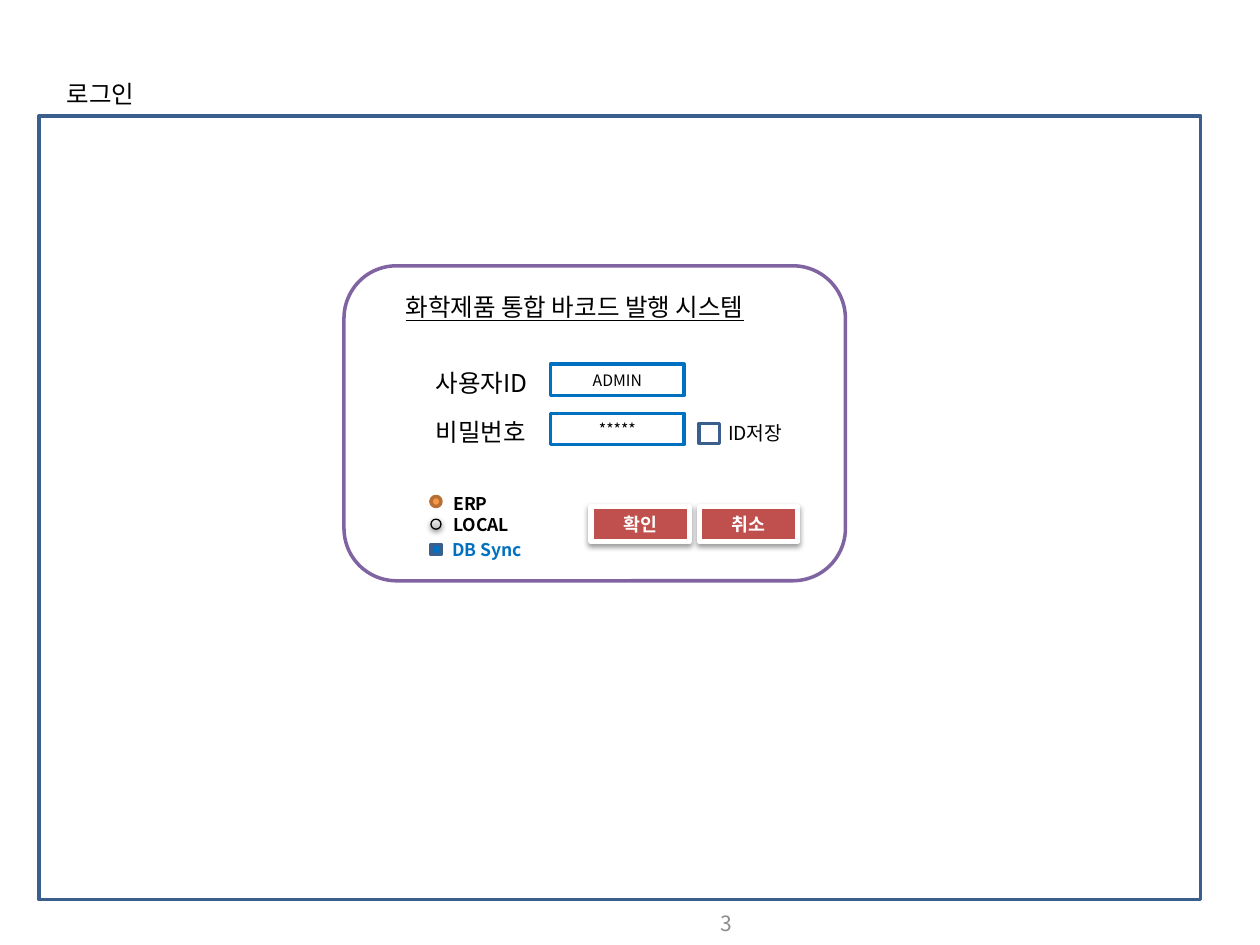
from lxml import etree
from pptx import Presentation
from pptx.dml.color import RGBColor
from pptx.enum.shapes import MSO_SHAPE as Shape
from pptx.enum.text import MSO_ANCHOR as Anchor, PP_ALIGN as Align
from pptx.oxml import parse_xml
from pptx.util import Inches, Pt

FONT = "Noto Sans CJK KR"
NAMESPACE = "http://schemas.openxmlformats.org/drawingml/2006/main"
COLORS = {
    "black": "000000", "white": "FFFFFF", "navy": "3A5F8C", "blue": "0070C0",
    "red": "C0504D", "purple": "8064A2", "orange": "F79646", "brown": "B76F34",
    "gray": "8C8C8C",
}
GRAY_STOPS = [(0, "BDBDBD"), (35, "D1D1D1"), (100, "EEEEEE")]

TITLE = ("로그인", (0.43, 0.58, 0.79, 0.34))
FRAME = (0.31, 0.92, 9.22, 6.22)
DIALOG = (2.73, 2.11, 3.98, 2.5)
FIELDS = [("사용자ID", 0.98, "ADMIN"), ("비밀번호", 0.99, "*****")]
FIELD_TOP, FIELD_STEP = 2.87, 0.39
BUTTONS = ["확인", "취소"]
BUTTON_LEFT, BUTTON_STEP = 4.69, 0.86
LABELS = [
    (["화학제품 통합 바코드 발행 시스템"], (3.12, 2.27, 3.32, 0.34),
     {"size": 14, "underline": True}),
    (["ID저장"], (5.68, 3.29, 0.66, 0.29), {"size": 11, "wrap": True}),
    (["ERP", "LOCAL"], (3.5, 3.86, 0.64, 0.44), {"size": 10, "bold": True}),
    (["DB Sync"], (3.49, 4.23, 0.75, 0.27),
     {"size": 10, "bold": True, "color": "blue"}),
    (["3"], (3.58, 7.13, 2.33, 0.4),
     {"size": 12, "color": "gray", "wrap": True, "align": Align.RIGHT,
      "anchor": Anchor.MIDDLE}),
]
MARKERS = [
    (Shape.FLOWCHART_CONNECTOR, 3.94, "orange", "brown", 2),
    (Shape.FLOWCHART_CONNECTOR, 4.12, None, "black", 0.75),
    (Shape.RECTANGLE, 4.32, "blue", "navy", 2),
]


def rgb(name):
    return RGBColor.from_string(COLORS[name])


def place(shape, box):
    for name, value in zip(("left", "top", "width", "height"), box):
        setattr(shape, name, Inches(value))


def write(shape, lines, size, color="black", align=Align.LEFT,
          anchor=Anchor.TOP, wrap=False, **style):
    frame = shape.text_frame
    frame.word_wrap = wrap
    frame.vertical_anchor = anchor
    frame.text = "\n".join(lines)
    for para in frame.paragraphs:
        para.alignment = align
        span = para.runs[0]
        for name, value in {"name": FONT, "size": Pt(size), **style}.items():
            setattr(span.font, name, value)
        span.font.color.rgb = rgb(color)
        east_asian = etree.SubElement(span.font._element, f"{{{NAMESPACE}}}ea")
        east_asian.set("typeface", FONT)


def add_label(page, lines, box, **style):
    write(page.shapes.add_textbox(*map(Inches, box)), lines, **style)


def add_shape(page, kind, box, fill, line, width):
    shape = page.shapes.add_shape(kind, *map(Inches, box))
    shape.shadow.inherit = False
    if fill:
        shape.fill.solid()
        shape.fill.fore_color.rgb = rgb(fill)
    else:
        shape.fill.background()
    shape.line.color.rgb = rgb(line)
    shape.line.width = Pt(width)
    return shape


def add_shadow(shape):
    effects = shape._element.spPr.find(f"{{{NAMESPACE}}}effectLst")
    effects.append(parse_xml(
        f'<a:outerShdw xmlns:a="{NAMESPACE}" blurRad="{Pt(3.1)}" dist="{Pt(1.6)}" '
        'dir="5400000" rotWithShape="0"><a:srgbClr val="000000">'
        '<a:alpha val="38000"/></a:srgbClr></a:outerShdw>'))


def add_gradient(shape, stops):
    parts = "".join(f'<a:gs pos="{pos * 1000}"><a:srgbClr val="{color}"/></a:gs>'
                    for pos, color in stops)
    properties = shape._element.spPr
    properties.replace(properties.find(f"{{{NAMESPACE}}}noFill"), parse_xml(
        f'<a:gradFill xmlns:a="{NAMESPACE}"><a:gsLst>{parts}</a:gsLst>'
        '<a:lin ang="16200000" scaled="0"/></a:gradFill>'))


def main():
    deck = Presentation()
    deck.slide_width, deck.slide_height = Inches(10), Inches(7.5)
    page = deck.slides.add_slide(deck.slide_layouts[5])
    centred = {"align": Align.CENTER, "anchor": Anchor.MIDDLE, "wrap": True}

    place(page.shapes.title, TITLE[1])
    write(page.shapes.title, [TITLE[0]], 14)
    add_shape(page, Shape.RECTANGLE, FRAME, None, "navy", 2)
    add_shape(page, Shape.ROUNDED_RECTANGLE, DIALOG, None, "purple", 2)

    for row, (name, width, value) in enumerate(FIELDS):
        top = FIELD_TOP + row * FIELD_STEP
        add_label(page, [name], (3.36, top, width, 0.34), size=14)
        field = add_shape(page, Shape.RECTANGLE, (4.37, top + 0.02, 1.06, 0.25),
                          "white", "blue", 2)
        write(field, [value], 9, **centred)

    add_shape(page, Shape.RECTANGLE, (5.55, 3.36, 0.16, 0.16), None, "navy", 2)

    for column, name in enumerate(BUTTONS):
        box = (BUTTON_LEFT + column * BUTTON_STEP, 4.02, 0.78, 0.28)
        button = add_shape(page, Shape.RECTANGLE, box, "red", "white", 3)
        add_shadow(button)
        write(button, [name], 10.5, "white", bold=True, **centred)

    for lines, box, style in LABELS:
        add_label(page, lines, box, **style)

    for kind, top, fill, line, width in MARKERS:
        marker = add_shape(page, kind, (3.42, top, 0.08, 0.08), fill, line, width)
        if not fill:
            add_gradient(marker, GRAY_STOPS)
            add_shadow(marker)

    deck.save("out.pptx")


if __name__ == "__main__":
    main()
